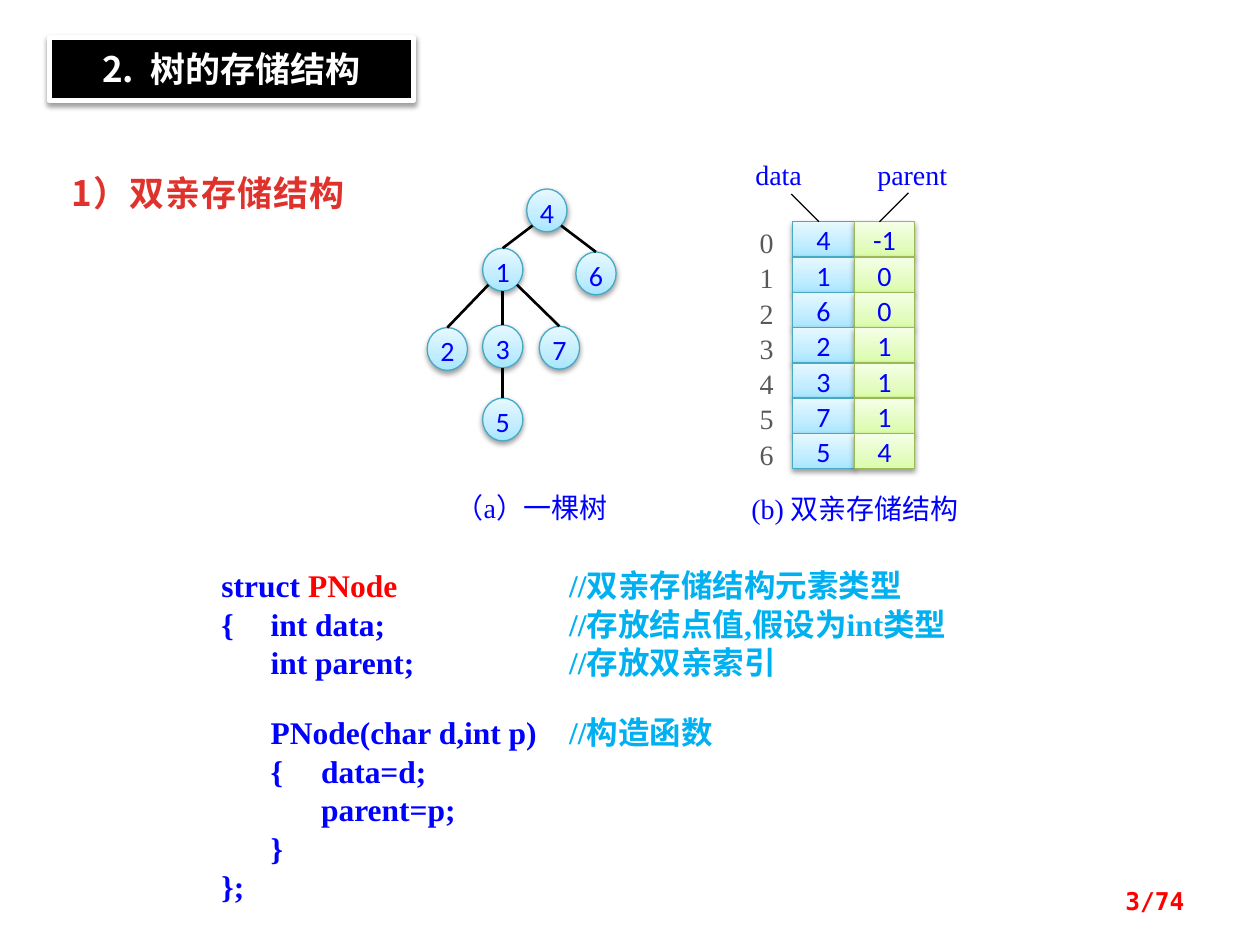
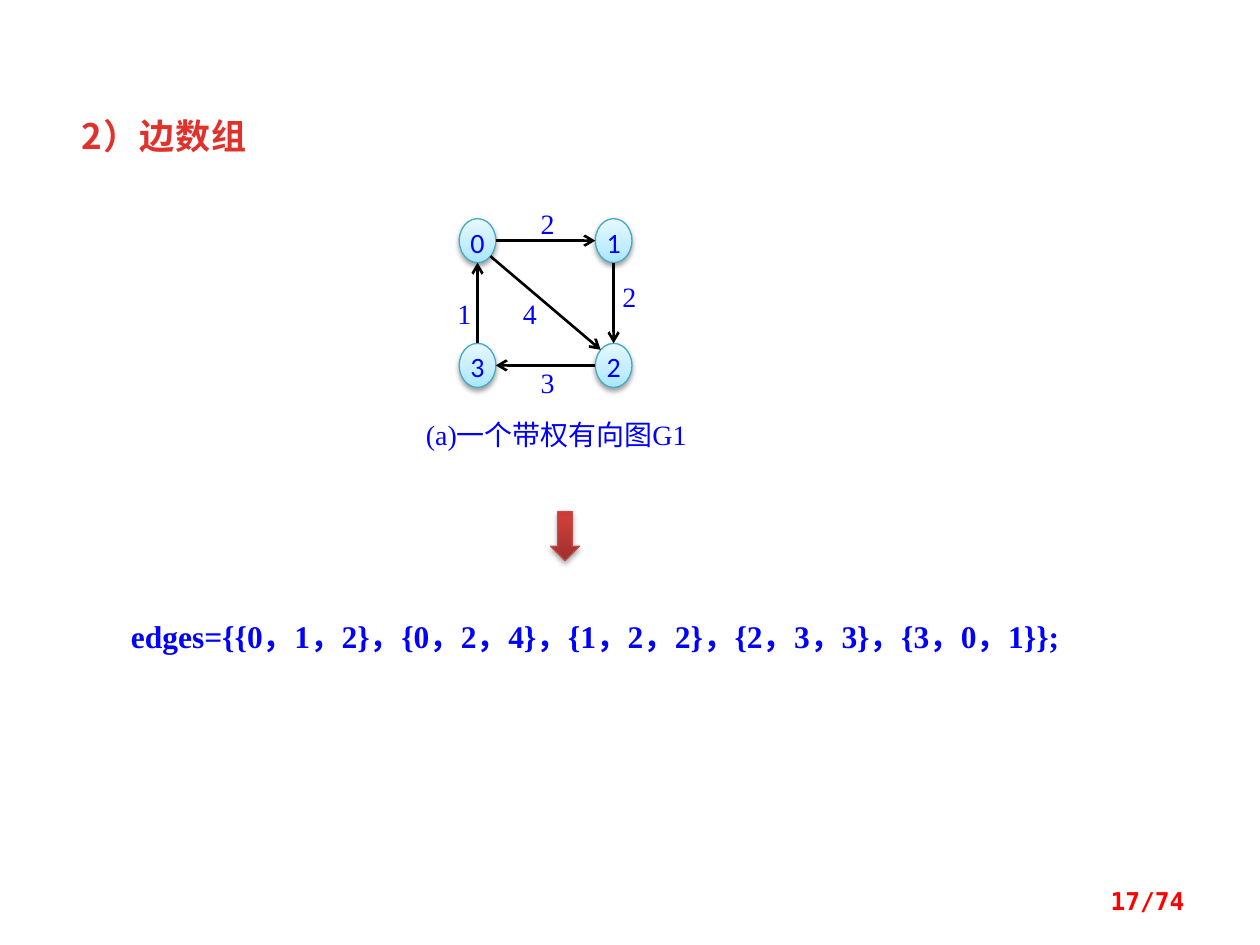
from lxml import etree
from pptx import Presentation
from pptx.dml.color import RGBColor
from pptx.enum.shapes import MSO_CONNECTOR as CONN, MSO_SHAPE as SHAPE
from pptx.enum.text import MSO_ANCHOR as ANCHOR, MSO_AUTO_SIZE as AUTO, PP_ALIGN as ALIGN
from pptx.oxml.ns import qn
from pptx.util import Inches, Pt

COLORS = {
    "black": "000000", "white": "FFFFFF", "blue": "0000FF", "red": "FF0000",
    "heading": "E0322D", "comment": "00B0F0", "index": "595959",
    "aqua_line": "46AAC5", "green_line": "98B955", "arrow_line": "BF4C48",
}
GRADIENTS = {
    "aqua": ((0, "A7E6FF"), (35, "C1EDFF"), (100, "E7F8FF")),
    "green": ((0, "DAFDA7"), (35, "E4FCC2"), (100, "F5FFE7")),
    "arrow": ((0, "9C2F2D"), (80, "CB3E3A"), (100, "CE3B37")),
}
CJK = "Noto Sans CJK SC"
SERIF = "Times New Roman"
LABEL = {"name": SERIF, "size": Pt(16), "color": "blue"}
NODE = {**LABEL, "name": "Calibri"}
INDEX = {**LABEL, "color": "index"}
CODE = {"name": SERIF, "size": Pt(18), "bold": True, "color": "blue"}
HEADING = {"name": CJK, "size": Pt(20), "bold": True, "color": "heading", "spc": 50}
BANNER = {"name": CJK, "size": Pt(20), "bold": True, "color": "white"}
PAGE = {"name": "DejaVu Sans Mono", "size": Pt(14), "bold": True, "color": "red"}
PAGES = 74
DIAG = 0.707
SITES = {"top": (0, -1), "bottom": (0, 1), "left": (-1, 0), "right": (1, 0),
         "bottom left": (-DIAG, DIAG), "bottom right": (DIAG, DIAG),
         "top left": (-DIAG, -DIAG)}


def rgb(name):
    return RGBColor.from_string(COLORS[name])


def box(at):
    return [Inches(v) for v in at]


def add(parent, tag, **attrs):
    """Append a child element such as a:tab with the given attributes."""
    return etree.SubElement(parent, qn(tag), attrs)


class Deck:
    def __init__(self):
        self.prs = Presentation()
        self.prs.slide_width, self.prs.slide_height = Inches(10), Inches(7.5)
        self.s = None

    def slide(self, heading, at, page):
        """Start a slide with its heading and page number."""
        self.s = self.prs.slides.add_slide(self.prs.slide_layouts[5])
        title = self.s.shapes.title
        title.left, title.top, title.width, title.height = box(at)
        self.set_text(title.text_frame, [[heading]], HEADING, ALIGN.LEFT, (0.1, 0.05),
                      wrap=False)
        self.text((7.17, 6.95, 2.33, 0.4), [[f"{page}/{PAGES}"]], PAGE, ALIGN.RIGHT,
                  (0.1, 0.05), anchor=ANCHOR.MIDDLE)

    def set_text(self, tf, paragraphs, fmt, align=ALIGN.CENTER, margins=(0, 0),
                 anchor=ANCHOR.TOP, wrap=True, line=None, tabs=()):
        """Fill a frame; a run is a string or a (string, format changes) pair."""
        frame = {"auto_size": AUTO.NONE, "word_wrap": wrap, "vertical_anchor": anchor,
                 "margin_left": Inches(margins[0]), "margin_right": Inches(margins[0]),
                 "margin_top": Inches(margins[1]), "margin_bottom": Inches(margins[1])}
        for key, value in frame.items():
            setattr(tf, key, value)
        for i, runs in enumerate(paragraphs):
            p = tf.add_paragraph() if i else tf.paragraphs[0]
            p.alignment = align
            if tabs:
                tab_list = add(p._p.get_or_add_pPr(), "a:tabLst")
                for pos in tabs:
                    add(tab_list, "a:tab", pos=str(Inches(pos)), algn="l")
            if line:
                p.line_spacing = line
            for run in runs:
                words, changes = (run, {}) if isinstance(run, str) else run
                self.run(p, words, {**fmt, **changes})
        return tf

    def run(self, p, words, fmt):
        r = p.add_run()
        r.text = words
        for key, value in fmt.items():
            if key == "color":
                r.font.color.rgb = rgb(value)
            elif key == "spc":
                r.font._element.set("spc", str(value))
            else:
                setattr(r.font, key, value)
        add(r.font._element, "a:ea", typeface=CJK)

    def text(self, at, paragraphs, fmt, *args, **options):
        tb = self.s.shapes.add_textbox(*box(at))
        return self.set_text(tb.text_frame, paragraphs, fmt, *args, **options)

    def label(self, at, words, fmt=LABEL):
        self.text(at, [[words]], fmt)

    def shape(self, kind, at, fill, line, width=0.75, alpha=38):
        """Add a shaded or plain shape with a soft shadow below it."""
        sp = self.s.shapes.add_shape(kind, *box(at))
        if fill in GRADIENTS:
            sp.fill.gradient()
            sp.fill.gradient_angle = 90
            stops = sp._element.spPr.find(".//" + qn("a:gsLst"))
            for stop in list(stops):
                stops.remove(stop)
            for pos, color in GRADIENTS[fill]:
                add(add(stops, "a:gs", pos=str(pos * 1000)), "a:srgbClr", val=color)
        else:
            sp.fill.solid()
            sp.fill.fore_color.rgb = rgb(fill)
        sp.line.color.rgb = rgb(line)
        sp.line.width = Pt(width)
        sp.shadow.inherit = False
        shadow = add(sp._element.spPr.find(qn("a:effectLst")), "a:outerShdw",
                     blurRad=str(Pt(3.1)), dist=str(Pt(1.6)), dir="5400000", rotWithShape="0")
        add(add(shadow, "a:srgbClr", val=COLORS["black"]), "a:alpha", val=str(alpha * 1000))
        return sp

    def cell(self, at, words, tone):
        sp = self.shape(SHAPE.RECTANGLE, at, tone, f"{tone}_line")
        self.set_text(sp.text_frame, [[words]], NODE, margins=(0, 0.01))

    def line(self, start, end, width=1.5, arrow=False):
        c = self.s.shapes.add_connector(CONN.STRAIGHT, *box((*start, *end)))
        c.line.color.rgb = rgb("black")
        c.line.width = Pt(width)
        if arrow:
            add(c.line._get_or_add_ln(), "a:tailEnd", type="arrow")
        add(c._element.spPr, "a:effectLst")

    def graph(self, centers, size, edges, arrow=False):
        """Draw named nodes and edges between points on their outlines."""
        w, h = size

        def point(node, site):
            (x, y), (dx, dy) = centers[node], SITES[site]
            return x + dx * w / 2, y + dy * h / 2

        for name, (x, y) in centers.items():
            sp = self.shape(SHAPE.OVAL, (x - w / 2, y - h / 2, w, h), "aqua", "aqua_line")
            self.set_text(sp.text_frame, [[name]], NODE)
        for a, site_a, b, site_b in edges:
            self.line(point(a, site_a), point(b, site_b), arrow=arrow)


def parent_storage(deck):
    deck.slide("1）双亲存储结构", (0.47, 1.31, 2.73, 0.44), 3)
    banner = deck.shape(SHAPE.RECTANGLE, (0.39, 0.3, 2.89, 0.5), "black", "white", 3)
    deck.set_text(banner.text_frame, [["2.", (" ", {"spc": 450}), "树的存储结构"]], BANNER,
                  margins=(0.1, 0.08))

    tree = {"4": (4.34, 1.67), "1": (3.99, 2.14), "6": (4.73, 2.17), "2": (3.55, 2.77),
            "3": (3.99, 2.75), "7": (4.44, 2.76), "5": (3.99, 3.33)}
    deck.graph(tree, (0.32, 0.34), [
        ("4", "bottom left", "1", "top"), ("4", "bottom right", "6", "top"),
        ("1", "bottom left", "2", "top"), ("1", "bottom", "3", "top"),
        ("1", "bottom right", "7", "top"), ("3", "bottom", "5", "top")])
    deck.label((3.55, 3.89, 1.34, 0.33), "（a）一棵树")

    rows = [("4", "-1"), ("1", "0"), ("6", "0"), ("2", "1"), ("3", "1"), ("7", "1"), ("5", "4")]
    row_h = 0.28
    for i, (data, parent) in enumerate(rows):
        y = 1.76 + i * row_h
        deck.label((5.9, y + 0.03, 0.37, 0.23), str(i), INDEX)
        deck.cell((6.29, y, 0.49, row_h), data, "aqua")
        deck.cell((6.78, y, 0.48, row_h), parent, "green")
    deck.label((5.9, 1.25, 0.56, 0.31), "data")
    deck.label((6.94, 1.25, 0.6, 0.23), "parent")
    deck.line((6.28, 1.54), (6.5, 1.76), 0.75)
    deck.line((7.21, 1.53), (6.98, 1.76), 0.75)
    deck.label((5.83, 3.9, 1.91, 0.24), "(b) 双亲存储结构")

    note = {"color": "comment"}
    tf = deck.text((1.66, 4.44, 6.93, 2.82), [
        ["struct ", ("PNode", {"color": "red"}), "\t", ("//双亲存储结构元素类型", note)],
        ["{\tint data;\t", ("//存放结点值,假设为int类型", note)],
        ["\tint parent;\t", ("//存放双亲索引", note)],
        ["\tPNode(char d,int p)\t", ("//构造函数", note)],
        ["\t{\tdata=d;"],
        ["\t\tparent=p;"],
        ["\t}"],
        ["};"],
    ], CODE, ALIGN.LEFT, (0.1, 0.05), line=Pt(22), tabs=(0.39, 0.79, 2.76))
    tf.paragraphs[3].space_before = Pt(18)


def edge_array(deck):
    deck.slide("2）边数组", (0.55, 0.86, 2.11, 0.44), 17)
    weights = [("1", 3.58, 2.35), ("4", 4.1, 2.35), ("3", 4.24, 2.9),
               ("2", 4.24, 1.64), ("2", 4.89, 2.22)]
    for weight, x, y in weights:
        deck.label((x, y, 0.21, 0.27), weight)
    left, right, top, bottom = 3.79, 4.87, 1.91, 2.9
    corners = {"0": (left, top), "1": (right, top), "2": (right, bottom), "3": (left, bottom)}
    deck.graph(corners, (0.29, 0.35), [
        ("0", "right", "1", "left"), ("0", "bottom right", "2", "top left"),
        ("2", "left", "3", "right"), ("1", "bottom", "2", "top"),
        ("3", "top", "0", "bottom")], arrow=True)
    deck.label((3.36, 3.31, 2.11, 0.29), "(a)一个带权有向图G1")
    deck.shape(SHAPE.DOWN_ARROW, (4.37, 4.06, 0.23, 0.39), "arrow", "arrow_line", alpha=35)
    deck.text((0.94, 4.84, 7.81, 0.4),
              [["edges={{0，1，2}，{0，2，4}，{1，2，2}，{2，3，3}，{3，0，1}};"]],
              CODE, ALIGN.LEFT, (0.1, 0.05), line=Pt(22))


def main():
    deck = Deck()
    parent_storage(deck)
    edge_array(deck)
    deck.prs.save("out.pptx")


if __name__ == "__main__":
    main()
